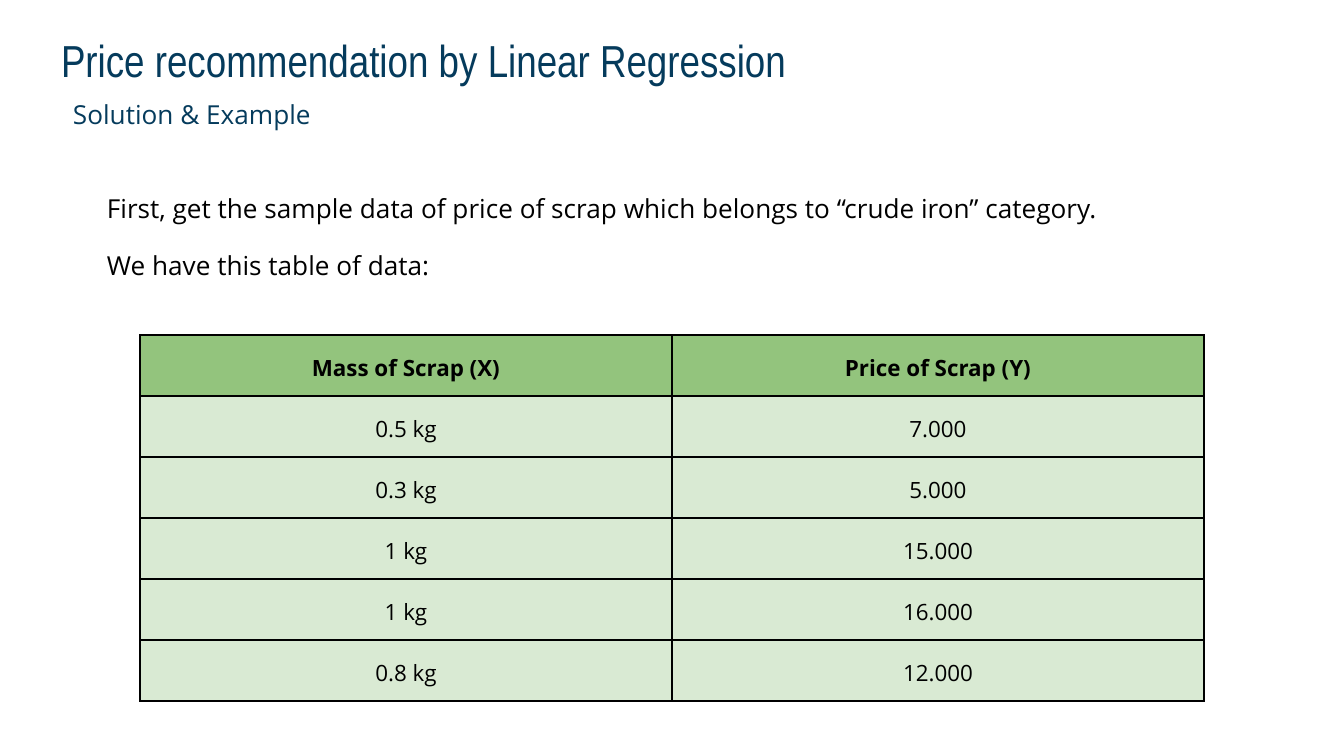
import pptx
import pptx.util
import pptx.dml.color
import pptx.enum.text
import pptx.oxml
import pptx.oxml.ns

TITLE = "Price recommendation by Linear Regression"
SUB = "Solution & Example"
BODY = [
    "First, get the sample data of price of scrap which belongs to “crude iron” category.",
    "We have this table of data:",
]
ROWS = [
    ("Mass of Scrap (X)", "Price of Scrap (Y)"),
    ("0.5 kg", "7.000"),
    ("0.3 kg", "5.000"),
    ("1 kg", "15.000"),
    ("1 kg", "16.000"),
    ("0.8 kg", "12.000"),
]
COLORS = {"navy": "053B5C", "black": "000000", "head": "93C47D", "row": "D9EAD3"}
WIDE, HIGH = 1344, 756
SCALE = pptx.util.Inches(10) / WIDE
COL, ROW, PAD = 532, 57, 13
ALIGN = pptx.enum.text.PP_ALIGN
ANCHOR = pptx.enum.text.MSO_ANCHOR


def px(n):
    return pptx.util.Emu(round(n * SCALE))


def rgb(name):
    return pptx.dml.color.RGBColor.from_string(COLORS[name])


def write(frame, lines, size=14, font="Open Sans", color="black", bold=False,
          align=ALIGN.LEFT, space=1.0, gap=0):
    """Fill a text frame, one paragraph a line, with gap points between them."""
    for i, line in enumerate(lines):
        para = frame.paragraphs[0] if i == 0 else frame.add_paragraph()
        para.alignment = align
        para.line_spacing = space
        para.space_before = pptx.util.Pt(gap if i else 0)
        para.space_after = pptx.util.Pt(0)
        run = para.add_run()
        run.text = line
        run.font.size = pptx.util.Pt(size)
        run.font.name = font
        run.font.bold = bold
        run.font.color.rgb = rgb(color)


def setup(frame, anchor=ANCHOR.TOP):
    frame.word_wrap = True
    frame.auto_size = pptx.enum.text.MSO_AUTO_SIZE.NONE
    frame.vertical_anchor = anchor
    frame.margin_left = frame.margin_right = px(PAD)
    frame.margin_top = frame.margin_bottom = px(PAD)
    return frame


def add_text(box, lines, **style):
    shape = slide.shapes.add_textbox(*map(px, box))
    write(setup(shape.text_frame), lines, **style)


def border(cell):
    props = cell._tc.get_or_add_tcPr()
    for side in "LRTB":
        props.append(pptx.oxml.parse_xml(
            f'<a:ln{side} {pptx.oxml.ns.nsdecls("a")} w="12700"><a:solidFill>'
            f'<a:srgbClr val="{COLORS["black"]}"/></a:solidFill></a:ln{side}>'))


deck = pptx.Presentation()
deck.slide_width, deck.slide_height = px(WIDE), px(HIGH)
slide = deck.slides.add_slide(deck.slide_layouts[5])

title = slide.shapes.title
title.left, title.top, title.width, title.height = map(px, (48, 17, 995, 85))
write(setup(title.text_frame, ANCHOR.MIDDLE), [TITLE], size=24,
      font="Arial Narrow", color="navy")

add_text((60, 81, 677, 75), [SUB], color="navy", space=1.15)
add_text((94, 179, 1093, 105), BODY, gap=14)

table = slide.shapes.add_table(
    len(ROWS), 2, px(140), px(335), px(2 * COL), px(len(ROWS) * ROW)).table
table.first_row = table.horz_banding = False
for r, row in enumerate(ROWS):
    for c, text in enumerate(row):
        cell = table.cell(r, c)
        border(cell)
        cell.fill.solid()
        cell.fill.fore_color.rgb = rgb("row" if r else "head")
        cell.margin_left = cell.margin_right = px(9)
        cell.margin_top = cell.margin_bottom = px(PAD)
        write(cell.text_frame, [text], size=12, bold=r == 0,
              align=ALIGN.CENTER, space=1.15)

deck.save("out.pptx")
